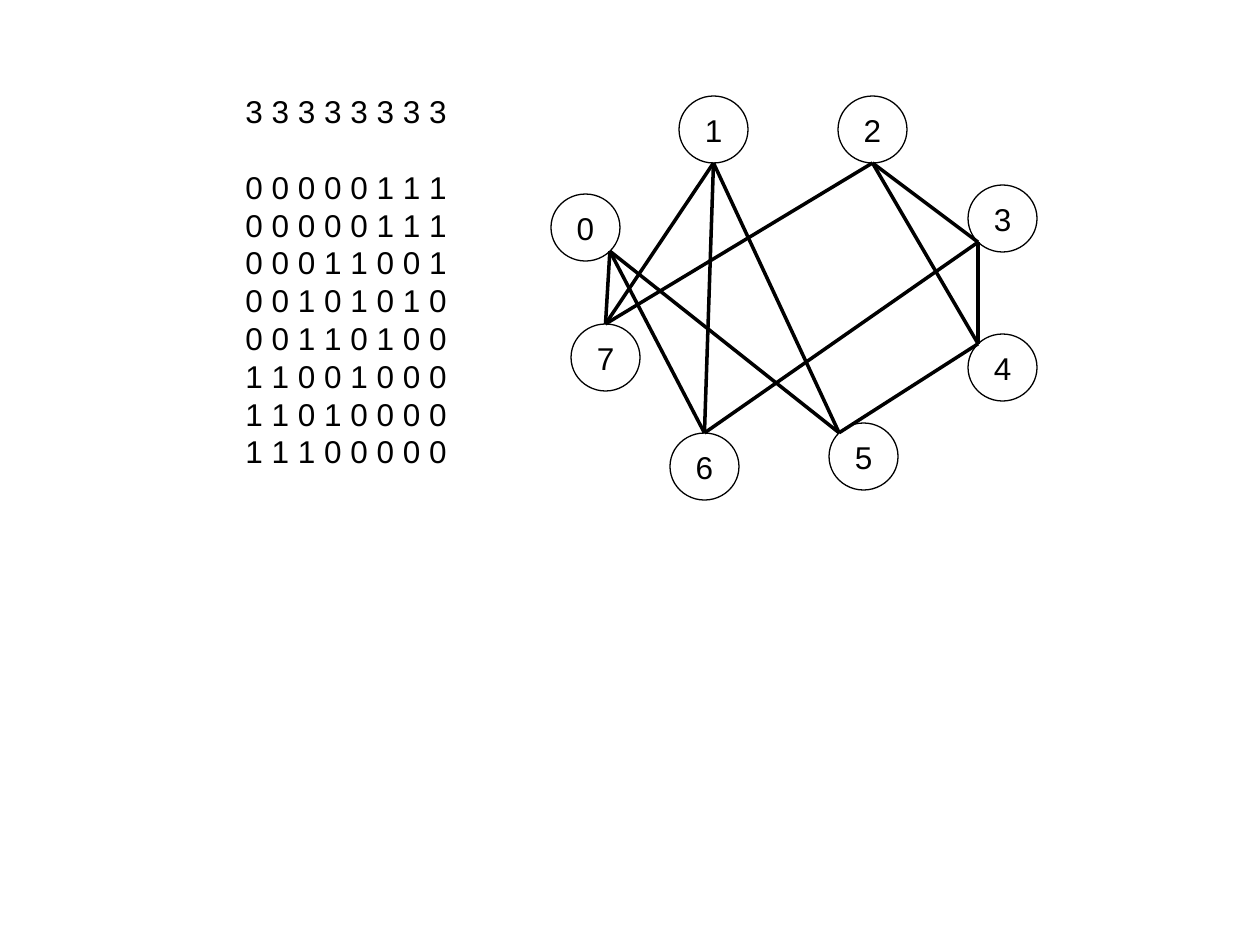
from math import cos, radians, sin

from lxml import etree
from pptx import Presentation, util as u
from pptx.dml.color import RGBColor
from pptx.enum import shapes, text
from pptx.oxml.ns import qn

PX = 914400 / 126
BLACK = RGBColor(0, 0, 0)
WHITE = RGBColor(255, 255, 255)
FONT = "Arial"
NODE_W, NODE_H = 69, 67

DEGREES = "3 3 3 3 3 3 3 3"
ADJACENCY = [
    "0 0 0 0 0 1 1 1",
    "0 0 0 0 0 1 1 1",
    "0 0 0 1 1 0 0 1",
    "0 0 1 0 1 0 1 0",
    "0 0 1 1 0 1 0 0",
    "1 1 0 0 1 0 0 0",
    "1 1 0 1 0 0 0 0",
    "1 1 1 0 0 0 0 0",
]
# Left and top within the graph, and the angle (clockwise from right)
# of the rim point where the node's edges meet
NODES = [
    (0, 98, 45), (128, 0, 90), (287, 0, 90), (417, 89, 135),
    (417, 238, 225), (278, 327, 225), (119, 337, 270), (20, 228, 270),
]


def px(length):
    return u.Emu(round(length * PX))


def add_text(paragraph, words):
    run = paragraph.add_run()
    run.text = words
    run.font.name = FONT
    run.font.size = u.Pt(18)
    run.font.color.rgb = BLACK


def add_matrix(slide, left, top, width, height):
    """Degree sequence, a gap of one row, then the adjacency matrix."""
    matrix = slide.shapes.add_textbox(px(left), px(top), px(width), px(height))
    frame = matrix.text_frame
    frame.word_wrap = True
    frame.auto_size = text.MSO_AUTO_SIZE.SHAPE_TO_FIT_TEXT
    row_height = u.Pt(21.6)
    for index, row in enumerate([DEGREES] + ADJACENCY):
        paragraph = frame.add_paragraph() if index else frame.paragraphs[0]
        paragraph.line_spacing = row_height
        add_text(paragraph, row)
    frame.paragraphs[0].space_after = row_height


def add_node(slide, left, top, label):
    node = slide.shapes.add_shape(
        shapes.MSO_SHAPE.OVAL, px(left), px(top), px(NODE_W), px(NODE_H))
    node.shadow.inherit = False
    node.fill.solid()
    node.fill.fore_color.rgb = WHITE
    node.line.color.rgb = BLACK
    node.line.width = u.Pt(0.75)
    frame = node.text_frame
    frame.word_wrap = False
    frame.vertical_anchor = text.MSO_ANCHOR.MIDDLE
    frame.paragraphs[0].alignment = text.PP_ALIGN.CENTER
    add_text(frame.paragraphs[0], label)


def add_edge(slide, start, end):
    edge = slide.shapes.add_connector(
        shapes.MSO_CONNECTOR.STRAIGHT, *map(px, start + end))
    edge.line.color.rgb = BLACK
    edge.line.width = u.Pt(2)
    etree.SubElement(edge._element.spPr, qn("a:effectLst"))


def add_graph(slide, left, top):
    """Numbered nodes, joined wherever the adjacency matrix holds a 1."""
    joints = []
    for number, (x, y, angle) in enumerate(NODES):
        add_node(slide, left + x, top + y, str(number))
        joints.append((left + x + NODE_W / 2 * (1 + cos(radians(angle))),
                       top + y + NODE_H / 2 * (1 + sin(radians(angle)))))
    for first, row in enumerate(ADJACENCY):
        for second, joined in enumerate(row.split()):
            if first < second and joined == "1":
                add_edge(slide, joints[first], joints[second])


def main():
    prs = Presentation()
    prs.slide_width, prs.slide_height = px(1260), px(945)
    slide = prs.slides.add_slide(prs.slide_layouts[6])
    add_matrix(slide, 233, 86, 258, 391)
    add_graph(slide, 551, 96)
    prs.save("out.pptx")


if __name__ == "__main__":
    main()
